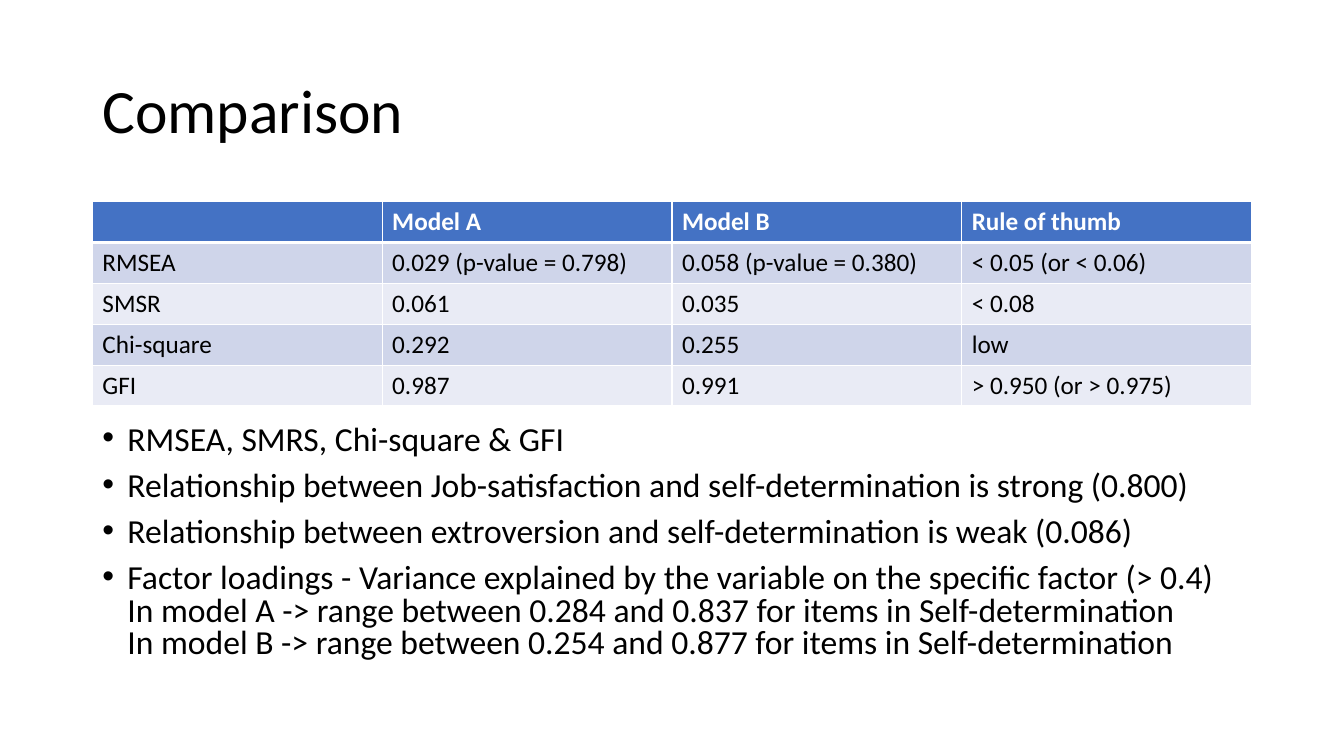
from lxml import etree
from pptx import Presentation
from pptx.dml.color import RGBColor
from pptx.enum.text import MSO_ANCHOR, MSO_AUTO_SIZE, PP_ALIGN
from pptx.oxml.ns import qn
from pptx.util import Pt

TITLE = "Comparison"
FIT_INDICES = [
    ("", "Model A", "Model B", "Rule of thumb"),
    ("RMSEA", "0.029 (p-value = 0.798)", "0.058 (p-value = 0.380)", "< 0.05 (or < 0.06)"),
    ("SMSR", "0.061", "0.035", "< 0.08"),
    ("Chi-square", "0.292", "0.255", "low"),
    ("GFI", "0.987", "0.991", "> 0.950 (or > 0.975)"),
]
FINDINGS = [
    "RMSEA, SMRS, Chi-square & GFI",
    "Relationship between Job-satisfaction and self-determination is strong (0.800)",
    "Relationship between extroversion and self-determination is weak (0.086)",
    "Factor loadings - Variance explained by the variable on the specific factor (> 0.4)\v"
    "In model A -> range between 0.284 and 0.837 for items in Self-determination\v"
    "In model B -> range between 0.254 and 0.877 for items in Self-determination",
]

BLACK = RGBColor(0x00, 0x00, 0x00)
WHITE = RGBColor(0xFF, 0xFF, 0xFF)
HEADER_BLUE = RGBColor(0x44, 0x72, 0xC4)
BANDS = (RGBColor(0xE9, 0xEB, 0xF5), RGBColor(0xCF, 0xD5, 0xEA))
LEFT, TOP = PP_ALIGN.LEFT, MSO_ANCHOR.TOP
MIDDLE, NO_FIT = MSO_ANCHOR.MIDDLE, MSO_AUTO_SIZE.NONE

MARGIN, WIDTH = Pt(66), Pt(828)
ROW_HEIGHT = Pt(29.2)
TITLE_ONLY = 5

TITLE_FONT = {"name": "Calibri", "size": Pt(44), "color": BLACK, "bold": False}
HEADER_FONT = {"name": "Calibri", "size": Pt(18), "color": WHITE, "bold": True}
CELL_FONT = {**HEADER_FONT, "color": BLACK, "bold": False}
BULLET_FONT = {**TITLE_FONT, "size": Pt(24)}


def set_values(target, values):
    for key, value in values.items():
        setattr(target, key, value)


def write(para, text, font, **layout):
    para.text = text
    set_values(para, {"alignment": LEFT, **layout})
    for span in para.runs:
        for key, value in font.items():
            if key == "color":
                span.font.color.rgb = value
            else:
                setattr(span.font, key, value)


def add_borders(cell, widths):
    properties = cell._tc.get_or_add_tcPr()
    for side, width in widths.items():
        line = etree.SubElement(properties, qn(f"a:ln{side}"), w=str(Pt(width)))
        fill = etree.SubElement(line, qn("a:solidFill"))
        etree.SubElement(fill, qn("a:srgbClr"), val=str(WHITE))


def add_bullet(para):
    properties = para._p.get_or_add_pPr()
    properties.set("marL", str(Pt(18)))
    properties.set("indent", str(-Pt(18)))
    etree.SubElement(properties, qn("a:buFont"), typeface="Arial")
    etree.SubElement(properties, qn("a:buChar"), char="•")


def add_title(page):
    title = page.shapes.title
    set_values(title, {"left": MARGIN, "top": Pt(28.8), "width": WIDTH, "height": Pt(104.4)})
    set_values(title.text_frame, {"vertical_anchor": MIDDLE, "auto_size": NO_FIT, "word_wrap": True})
    write(title.text_frame.paragraphs[0], TITLE, TITLE_FONT, line_spacing=0.9)


def add_fit_table(page):
    rows, columns = len(FIT_INDICES), len(FIT_INDICES[0])
    table = page.shapes.add_table(rows, columns, MARGIN, Pt(144), WIDTH, ROW_HEIGHT * rows).table
    for row, values in enumerate(FIT_INDICES):
        table.rows[row].height = ROW_HEIGHT
        header = row == 0
        for column, value in enumerate(values):
            cell = table.cell(row, column)
            add_borders(cell, {"L": 1, "R": 1, "T": 3 if row == 1 else 1, "B": 3 if header else 1})
            cell.fill.solid()
            cell.fill.fore_color.rgb = HEADER_BLUE if header else BANDS[row % 2]
            write(cell.text_frame.paragraphs[0], value, HEADER_FONT if header else CELL_FONT)


def add_findings(page):
    box = page.shapes.add_textbox(MARGIN, Pt(300.2), WIDTH, Pt(185.8))
    frame = box.text_frame
    set_values(frame, {"word_wrap": True, "auto_size": NO_FIT, "vertical_anchor": TOP})
    for index, finding in enumerate(FINDINGS):
        para = frame.add_paragraph() if index else frame.paragraphs[0]
        add_bullet(para)
        write(para, finding, BULLET_FONT, line_spacing=0.8, space_before=Pt(10 if index else 0))


def main():
    deck = Presentation()
    set_values(deck, {"slide_width": Pt(960), "slide_height": Pt(540)})
    page = deck.slides.add_slide(deck.slide_layouts[TITLE_ONLY])
    add_title(page)
    add_fit_table(page)
    add_findings(page)
    deck.save("out.pptx")


if __name__ == "__main__":
    main()
